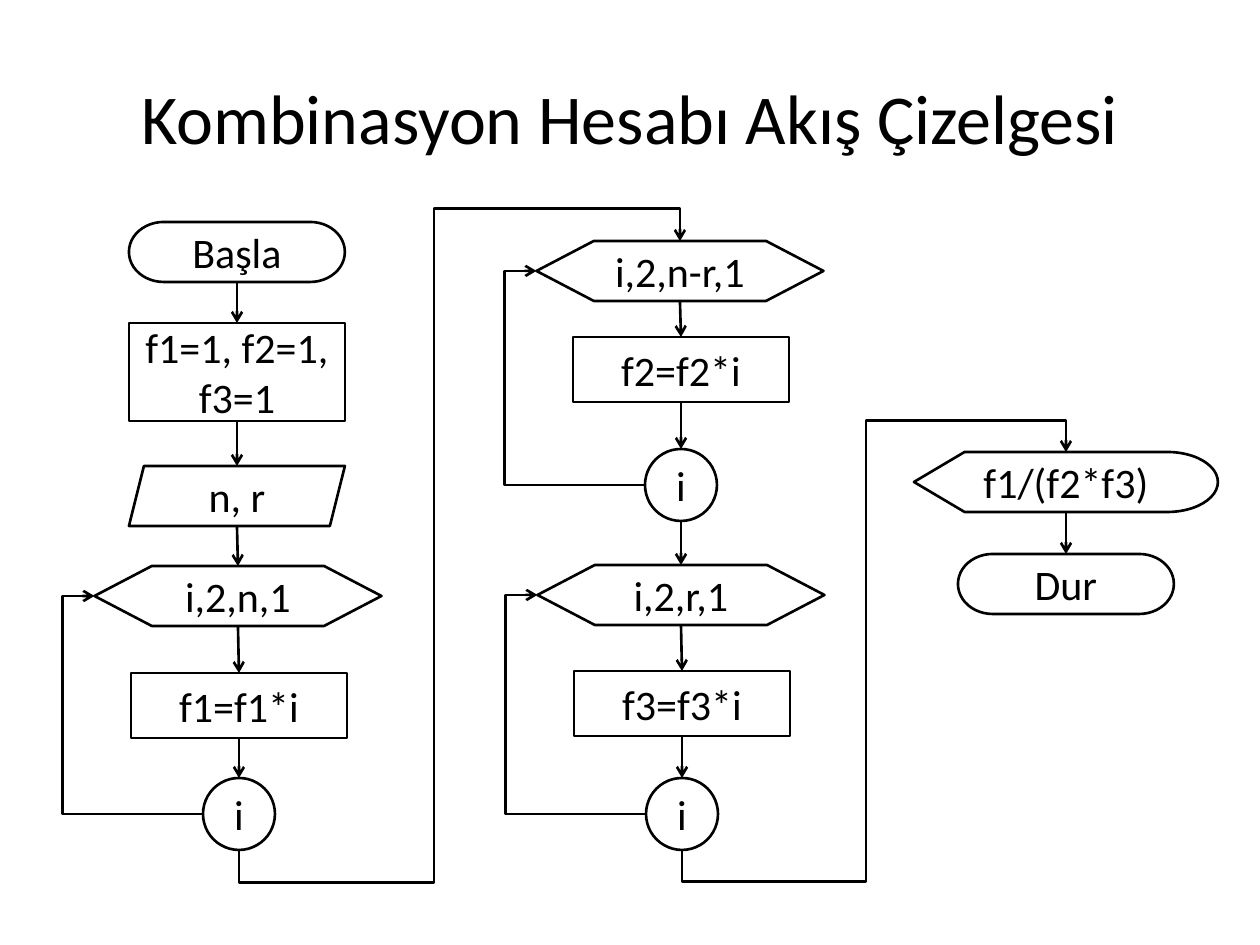
from itertools import pairwise

from lxml import etree
from pptx import Presentation
from pptx.dml.color import RGBColor
from pptx.enum.shapes import MSO_CONNECTOR, MSO_SHAPE
from pptx.enum.text import MSO_ANCHOR, PP_ALIGN
from pptx.oxml.ns import qn
from pptx.util import Emu, Inches, Pt

COLORS = {"ink": "000000", "paper": "FFFFFF"}
FONT = "Calibri"
PX = 914400 / 126
STUB = 32  # how far a routed arrow runs past the shapes it joins


def px(value):
    return Emu(round(value * PX))


def rgb(name):
    return RGBColor.from_string(COLORS[name])


def write(shape, text, size):
    frame = shape.text_frame
    frame.word_wrap = True
    frame.vertical_anchor = MSO_ANCHOR.MIDDLE
    paragraph = frame.paragraphs[0]
    paragraph.alignment = PP_ALIGN.CENTER
    run = paragraph.add_run()
    run.text = text
    run.font.name, run.font.size = FONT, Pt(size)
    run.font.color.rgb = rgb("ink")


def add_title(slide, text, x, y, w, h):
    write(slide.shapes.add_textbox(px(x), px(y), px(w), px(h)), text, 40)


def add_step(slide, kind, text, axis, top, w, h):
    """Place a flowchart step centred on a vertical axis; return its box."""
    x = axis - w / 2
    shape = slide.shapes.add_shape(kind, px(x), px(top), px(w), px(h))
    shape.shadow.inherit = False
    shape.fill.solid()
    shape.fill.fore_color.rgb = rgb("paper")
    shape.line.color.rgb = rgb("ink")
    shape.line.width = Pt(1.5)
    write(shape, text, 24)
    return x, top, w, h


def add_arrow(slide, start, end, kind=MSO_CONNECTOR.STRAIGHT):
    arrow = slide.shapes.add_connector(kind, *map(px, start + end))
    arrow.line.color.rgb = rgb("ink")
    arrow.line.width = Pt(1.5)
    etree.SubElement(arrow.line._get_or_add_ln(), qn("a:tailEnd"), type="arrow")
    etree.SubElement(arrow._element.spPr, qn("a:effectLst"))
    return arrow


def set_bends(arrow, preset, *bends):
    geometry = arrow._element.spPr.find(qn("a:prstGeom"))
    geometry.set("prst", preset)
    guides = geometry.find(qn("a:avLst"))
    if guides is None:
        guides = etree.SubElement(geometry, qn("a:avLst"))
    for number, bend in enumerate(bends, 1):
        etree.SubElement(guides, qn("a:gd"), name=f"adj{number}",
                         fmla=f"val {round(bend * 100000)}")


def top_of(box):
    return box[0] + box[2] / 2, box[1]


def bottom_of(box):
    return box[0] + box[2] / 2, box[1] + box[3]


def left_of(box):
    return box[0], box[1] + box[3] / 2


def link_down(slide, steps):
    for upper, lower in pairwise(steps):
        add_arrow(slide, bottom_of(upper), top_of(lower))


def link_back(slide, last, first):
    """Loop arrow leaving and entering on the left side."""
    start, end = left_of(last), left_of(first)
    arrow = add_arrow(slide, start, end, MSO_CONNECTOR.ELBOW)
    set_bends(arrow, "bentConnector3", 1 + STUB / (start[0] - end[0]))


def link_column(slide, source, target, lane):
    """Arrow from the foot of one column, up a lane, to the head of the next."""
    (x0, y0), (x1, y1) = bottom_of(source), top_of(target)
    rise, run = y0 - y1, x1 - x0
    cx, cy = (x0 + x1) / 2, (y0 + y1) / 2
    # The connector is laid out sideways, then turned a quarter to the left
    arrow = add_arrow(slide, (cx - rise / 2, cy - run / 2),
                      (cx + rise / 2, cy + run / 2), MSO_CONNECTOR.ELBOW)
    arrow._element.spPr.find(qn("a:xfrm")).set("rot", str(270 * 60000))
    set_bends(arrow, "bentConnector5", -STUB / rise, (lane - x0) / run,
              1 + STUB / rise)


def add_start(slide, axis, top):
    steps = [
        add_step(slide, MSO_SHAPE.FLOWCHART_TERMINATOR, "Başla", axis, top, 216, 60),
        add_step(slide, MSO_SHAPE.FLOWCHART_PROCESS, "f1=1, f2=1, f3=1",
                 axis, top + 101, 216, 98),
        add_step(slide, MSO_SHAPE.PARALLELOGRAM, "n, r", axis, top + 244, 216, 60),
    ]
    link_down(slide, steps)
    return steps


def add_loop(slide, axis, top, counter, body, body_drop, end_drop):
    steps = [
        add_step(slide, MSO_SHAPE.FLOWCHART_PREPARATION, counter, axis, top, 287, 60),
        add_step(slide, MSO_SHAPE.FLOWCHART_PROCESS, body,
                 axis + 1, top + body_drop, 216, 65),
        add_step(slide, MSO_SHAPE.FLOWCHART_CONNECTOR, "i",
                 axis + 1, top + end_drop, 72, 72),
    ]
    link_down(slide, steps)
    link_back(slide, steps[-1], steps[0])
    return steps


def add_result(slide, axis, top):
    steps = [
        add_step(slide, MSO_SHAPE.FLOWCHART_DISPLAY, "f1/(f2*f3)", axis, top, 304, 60),
        add_step(slide, MSO_SHAPE.FLOWCHART_TERMINATOR, "Dur", axis, top + 102, 216, 60),
    ]
    link_down(slide, steps)
    return steps


prs = Presentation()
prs.slide_width, prs.slide_height = Inches(10), Inches(7.5)
slide = prs.slides.add_slide(prs.slide_layouts[6])

add_title(slide, "Kombinasyon Hesabı Akış Çizelgesi", 63, 38, 1134, 157)

# Steps, column by column
start = add_start(slide, 237, 222)
loop_n = add_loop(slide, 238, 566, "i,2,n,1", "f1=f1*i", 107, 212)
loop_nr = add_loop(slide, 680, 241, "i,2,n-r,1", "f2=f2*i", 96, 208)
loop_r = add_loop(slide, 681, 565, "i,2,r,1", "f3=f3*i", 106, 213)
result = add_result(slide, 1066, 452)

# Links between the groups
link_down(slide, [start[-1], loop_n[0]])
link_down(slide, [loop_nr[-1], loop_r[0]])
link_column(slide, loop_n[-1], loop_nr[0], 434)
link_column(slide, loop_r[-1], result[0], 866)

prs.save("out.pptx")
